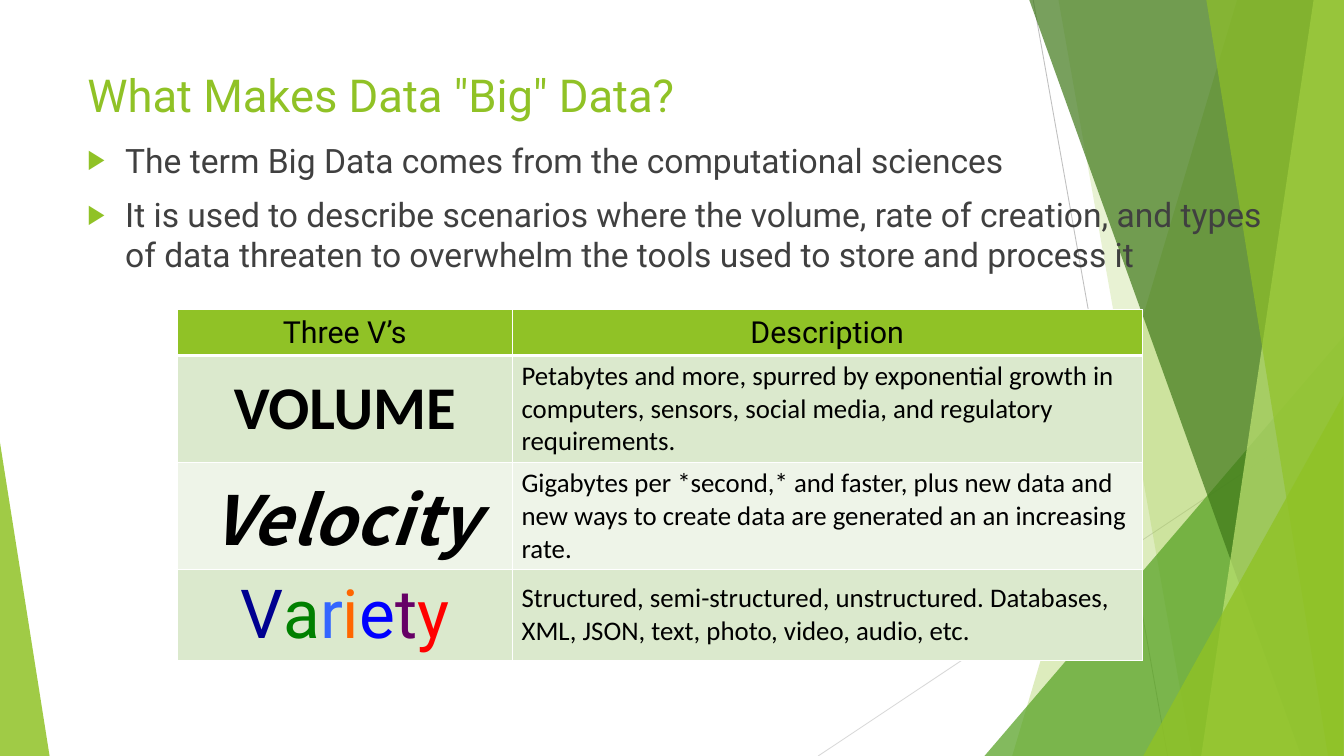
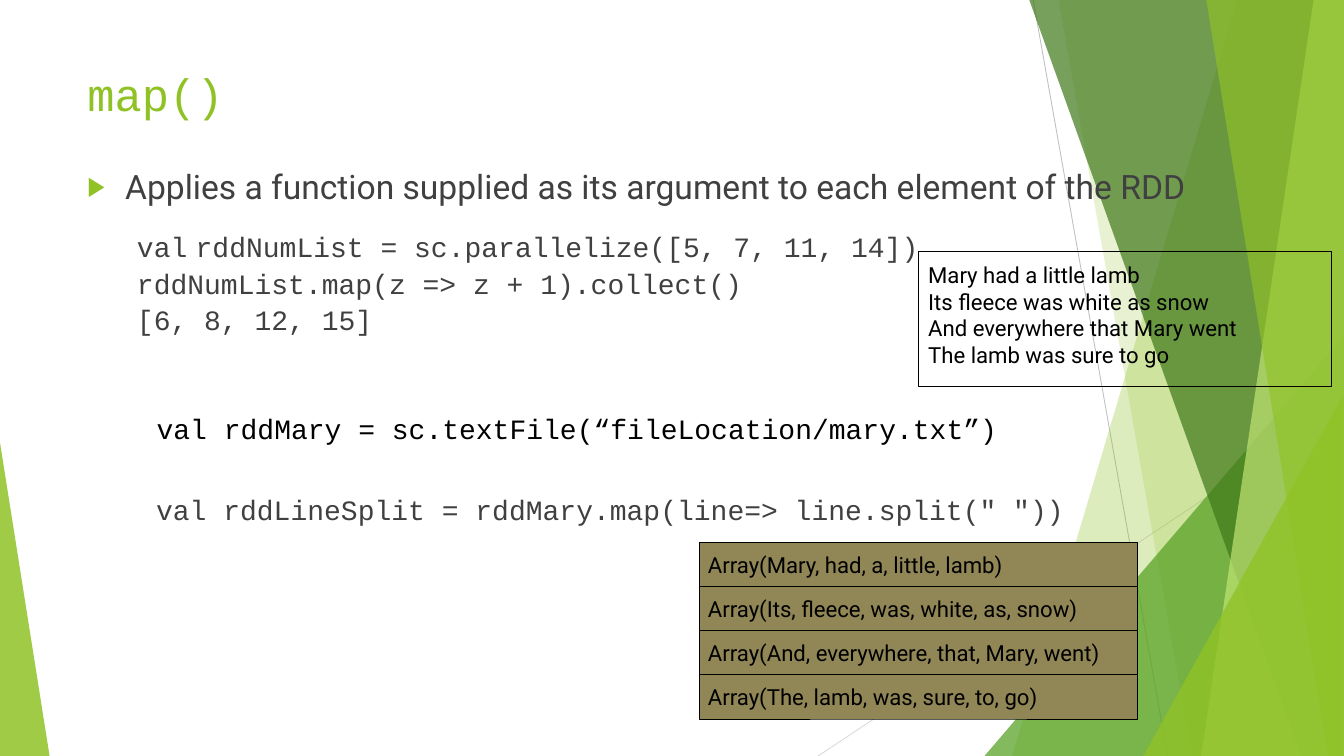
from lxml import etree
from pptx import Presentation
from pptx import util as u
from pptx.dml.color import RGBColor
from pptx.enum import shapes, text
from pptx.oxml import ns

COLORS = {
    "lime": "90C226", "leaf": "54A021", "forest": "3F7819", "pale": "C0E474",
    "white": "FFFFFF", "black": "000000", "body": "404040", "olive": "918655",
    "thread": "BFBFBF", "faint_thread": "D9D9D9",
    "band_dark": "DBE9CD", "band_light": "EEF4E8",
}
VARIETY_COLORS = ["000090", "008000", "3366FF", "FF6600", "0000FF", "660066", "FF0000"]

# Run formats
TITLE = {"name": "Roboto", "size": u.Pt(38.9)}
CODE_TITLE = {**TITLE, "name": "Courier New"}
BODY = {"name": "Roboto", "size": u.Pt(28.8)}
CODE = {"name": "Courier New", "size": u.Pt(24)}
NOTE = {"name": "Roboto", "size": u.Pt(19)}
HEADER = {"name": "Roboto", "size": u.Pt(26), "bold": False}
DESCRIPTION = {"name": "Calibri", "size": u.Pt(23), "bold": False}
VOLUME = {"name": "Calibri", "size": u.Pt(52), "bold": True}
VELOCITY = {"name": "Noto Sans CJK SC", "size": u.Pt(58), "bold": True, "italic": True}
VARIETY = {"name": "Roboto", "size": u.Pt(58), "bold": False}

LEFT, CENTER = text.PP_ALIGN.LEFT, text.PP_ALIGN.CENTER
TOP, MIDDLE = text.MSO_ANCHOR.TOP, text.MSO_ANCHOR.MIDDLE


def rgb(color):
    return RGBColor.from_string(COLORS.get(color, color))


def apply(target, formats):
    for name, value in formats.items():
        setattr(target, name, value)


def place(shape, box):
    apply(shape, dict(zip(("left", "top", "width", "height"), map(u.Inches, box))))


def set_frame(frame, inset_x, inset_y, anchor):
    apply(frame, {
        "word_wrap": True, "auto_size": text.MSO_AUTO_SIZE.NONE, "vertical_anchor": anchor,
        "margin_left": u.Inches(inset_x), "margin_right": u.Inches(inset_x),
        "margin_top": u.Inches(inset_y), "margin_bottom": u.Inches(inset_y),
    })


def add_run(paragraph, words, font, color):
    run = paragraph.add_run()
    run.text = words
    apply(run.font, font)
    run.font.color.rgb = rgb(color)


def write(frame, lines, font, color="black", **paragraph_format):
    for index, line in enumerate(lines):
        paragraph = frame.paragraphs[0] if index == 0 else frame.add_paragraph()
        apply(paragraph, {"alignment": LEFT, **paragraph_format})
        add_run(paragraph, line, font, color)


def set_list_style(paragraph, indent, bullet=None):
    props = paragraph._p.get_or_add_pPr()
    props.set("marL", str(u.Inches(indent)))
    props.set("indent", str(-u.Inches(indent) if bullet else 0))
    if not bullet:
        etree.SubElement(props, ns.qn("a:buNone"))
        return
    bullet_color = etree.SubElement(props, ns.qn("a:buClr"))
    etree.SubElement(bullet_color, ns.qn("a:srgbClr"), val=COLORS["lime"])
    etree.SubElement(props, ns.qn("a:buSzPct"), val="80000")
    etree.SubElement(props, ns.qn("a:buChar"), char=bullet)


def fill_glass(shape, color, opacity):
    shape.shadow.inherit = False
    shape.fill.solid()
    shape.fill.fore_color.rgb = rgb(color)
    shape.line.fill.background()
    tint = next(shape.element.spPr.iter(ns.qn("a:srgbClr")))
    etree.SubElement(tint, ns.qn("a:alpha"), val=str(opacity * 1000))


# Shared backdrop, kept on the layout
def add_backdrop(layout, slide, box):
    left, top, width, height = box
    right, bottom = left + width, top + height
    facets = slide.shapes.add_group_shape()

    def thread(start, end, color):
        line = facets.shapes.add_connector(
            shapes.MSO_CONNECTOR.STRAIGHT, *map(u.Inches, (*start, *end)))
        line.line.color.rgb = rgb(color)
        line.line.width = u.Pt(0.75)
        etree.SubElement(line.element.spPr, ns.qn("a:effectLst"))

    def blade(top_x, bottom_x, color, opacity):
        corners = [(left + top_x, top - 0.01), (right, top - 0.01),
                   (right, bottom), (left + bottom_x, bottom)]
        start, *others = [tuple(map(u.Inches, corner)) for corner in corners]
        outline = facets.shapes.build_freeform(*start)
        outline.add_line_segments(others, close=True)
        fill_glass(outline.convert_to_shape(), color, opacity)

    def wedge(x, y, wedge_width, apex, color, opacity):
        shape = facets.shapes.add_shape(
            shapes.MSO_SHAPE.ISOSCELES_TRIANGLE,
            *map(u.Inches, (left + x, top + y, wedge_width, height - y)))
        shape.adjustments[0] = apex
        fill_glass(shape, color, opacity)

    thread((left + 12.3, top), (left + 13.9, bottom), "thread")
    thread((right, top + 4.83), (left + 9.74, bottom), "faint_thread")
    blade(14.73, 12.05, "lime", 30)
    blade(12.6, 14.19, "lime", 20)
    wedge(11.72, 4, 4.28, 1, "leaf", 72)
    blade(12.25, 15.49, "forest", 70)
    blade(15.64, 14.3, "pale", 70)
    blade(14.36, 15.81, "lime", 65)
    wedge(13.61, 4.71, 2.38, 1, "lime", 80)
    wedge(0, 5.27, 0.59, 0, "lime", 85)
    layout.shapes.element.insert(2, facets.element)


def set_title(slide, title, box, font=TITLE):
    place(slide.shapes.title, box)
    frame = slide.shapes.title.text_frame
    set_frame(frame, 0.12, 0.06, TOP)
    write(frame, [title], font, "lime")


def set_body(slide, box, points, code_lines=()):
    body = slide.placeholders[1]
    place(body, box)
    frame = body.text_frame
    set_frame(frame, 0.12, 0.06, TOP)
    write(frame, points, BODY, "body", space_before=u.Pt(12))
    for paragraph in frame.paragraphs:
        set_list_style(paragraph, 0.45, "▶")
    frame.paragraphs[0].space_before = u.Pt(0)
    for index, runs in enumerate(code_lines):
        paragraph = frame.add_paragraph()
        set_list_style(paragraph, 0.59)
        apply(paragraph, {"alignment": LEFT, "line_spacing": 1.07,
                          "space_before": u.Pt(0 if index else 12)})
        for words, font in runs:
            add_run(paragraph, words, font, "body")


# Table of the three V's
def set_border(cell, side, points):
    props = cell._tc.get_or_add_tcPr()
    edge = etree.Element(ns.qn(f"a:ln{side}"), w=str(u.Pt(points)))
    paint = etree.SubElement(edge, ns.qn("a:solidFill"))
    etree.SubElement(paint, ns.qn("a:srgbClr"), val=COLORS["white"])
    props.insert("LRTB".index(side), edge)


def add_three_vs(slide, box, column_widths, row_heights):
    rows = [
        ("Three V’s", HEADER, "Description", HEADER, "lime"),
        ("VOLUME", VOLUME, "Petabytes and more, spurred by exponential growth in computers, "
         "sensors, social media, and regulatory requirements.", DESCRIPTION, "band_dark"),
        ("Velocity", VELOCITY, "Gigabytes per *second,* and faster, plus new data and new ways "
         "to create data are generated an an increasing rate.", DESCRIPTION, "band_light"),
        ("Variety", VARIETY, "Structured, semi-structured, unstructured. Databases, XML, JSON, "
         "text, photo, video, audio, etc.", DESCRIPTION, "band_dark"),
    ]
    table = slide.shapes.add_table(len(rows), 2, *map(u.Inches, box)).table
    for column, width in zip(table.columns, column_widths):
        column.width = u.Inches(width)
    for index, (name, name_font, description, description_font, band) in enumerate(rows):
        table.rows[index].height = u.Inches(row_heights[index])
        name_cell, description_cell = table.rows[index].cells
        for cell in (name_cell, description_cell):
            apply(cell, {"vertical_anchor": MIDDLE,
                         "margin_left": u.Inches(0.11), "margin_right": u.Inches(0.11),
                         "margin_top": u.Inches(0.05), "margin_bottom": u.Inches(0.05)})
            cell.fill.solid()
            cell.fill.fore_color.rgb = rgb(band)
            for side in "LRTB":
                set_border(cell, side, 3 if side == "B" and index == 0 else 1)
        if name == "Variety":
            paragraph = name_cell.text_frame.paragraphs[0]
            paragraph.alignment = CENTER
            for letter, color in zip(name, VARIETY_COLORS):
                add_run(paragraph, letter, name_font, color)
        else:
            write(name_cell.text_frame, [name], name_font, alignment=CENTER)
        write(description_cell.text_frame, [description], description_font,
              alignment=LEFT if index else CENTER)


# Outlined boxes and loose code lines
def add_box(parent, box, lines, inset, anchor, fill=None):
    shape = parent.shapes.add_shape(shapes.MSO_SHAPE.RECTANGLE, *map(u.Inches, box))
    shape.shadow.inherit = False
    if fill:
        shape.fill.solid()
        shape.fill.fore_color.rgb = rgb(fill)
    else:
        shape.fill.background()
    shape.line.color.rgb = rgb("black")
    shape.line.width = u.Pt(0.75)
    set_frame(shape.text_frame, inset, inset, anchor)
    write(shape.text_frame, lines, NOTE)


def add_arrays(slide, box, arrays):
    left, top, width, height = box
    stack = slide.shapes.add_group_shape()
    step = height / len(arrays)
    for index, words in enumerate(arrays):
        add_box(stack, (left, top + index * step, width, step), [words], 0.1, MIDDLE, "olive")


def add_code(slide, box, line, color, inset_x, inset_y, anchor, **paragraph_format):
    frame = slide.shapes.add_textbox(*map(u.Inches, box)).text_frame
    set_frame(frame, inset_x, inset_y, anchor)
    write(frame, [line], CODE, color, **paragraph_format)


def build_big_data(slide):
    set_title(slide, 'What Makes Data "Big" Data?', (0.92, 0.74, 14.4, 0.53))
    set_body(slide, (0.92, 1.6, 14.4, 1.75), [
        "The term Big Data comes from the computational sciences",
        "It is used to describe scenarios where the volume, rate of creation, and types of data "
        "threaten to overwhelm the tools used to store and process it",
    ])
    add_three_vs(slide, (2.11, 3.69, 11.49, 4.16), (3.99, 7.5), (0.54, 1.27, 1.27, 1.08))


def build_map(slide):
    set_title(slide, "map()", (0.92, 0.73, 14.4, 0.54), CODE_TITLE)
    set_body(
        slide, (0.92, 1.92, 14.4, 4.77),
        ["Applies a function supplied as its argument to each element of the RDD"],
        [[("val", CODE), (" ", BODY), ("rddNumList = sc.parallelize([5, 7, 11, 14])", CODE)],
         [("rddNumList.map(z => z + 1).collect()", CODE)],
         [("[6, 8, 12, 15]", CODE)]])
    add_box(slide, (10.93, 2.99, 4.92, 1.61), [
        "Mary had a little lamb", "Its fleece was white as snow",
        "And everywhere that Mary went", "The lamb was sure to go"], 0.12, TOP)
    add_arrays(slide, (8.33, 6.46, 5.21, 2.1), [
        "Array(Mary, had, a, little, lamb)", "Array(Its, fleece, was, white, as, snow)",
        "Array(And, everywhere, that, Mary, went)", "Array(The, lamb, was, sure, to, go)"])
    add_code(slide, (0.74, 4.74, 12.25, 0.79), "val rddMary = sc.textFile(“fileLocation/mary.txt”)",
             "black", 0.2, 0.2, MIDDLE, alignment=CENTER, line_spacing=0.85)
    add_code(slide, (1.76, 5.82, 12.81, 0.5),
             'val rddLineSplit = rddMary.map(line=> line.split(" "))', "body", 0.1, 0.05, TOP)


def main():
    deck = Presentation()
    deck.slide_width, deck.slide_height = u.Inches(16), u.Inches(9)
    layout = deck.slide_layouts[1]
    big_data, map_slide = [deck.slides.add_slide(layout) for _ in range(2)]
    add_backdrop(layout, big_data, (0, 0, 16, 9))
    build_big_data(big_data)
    build_map(map_slide)
    deck.save("out.pptx")


if __name__ == "__main__":
    main()
